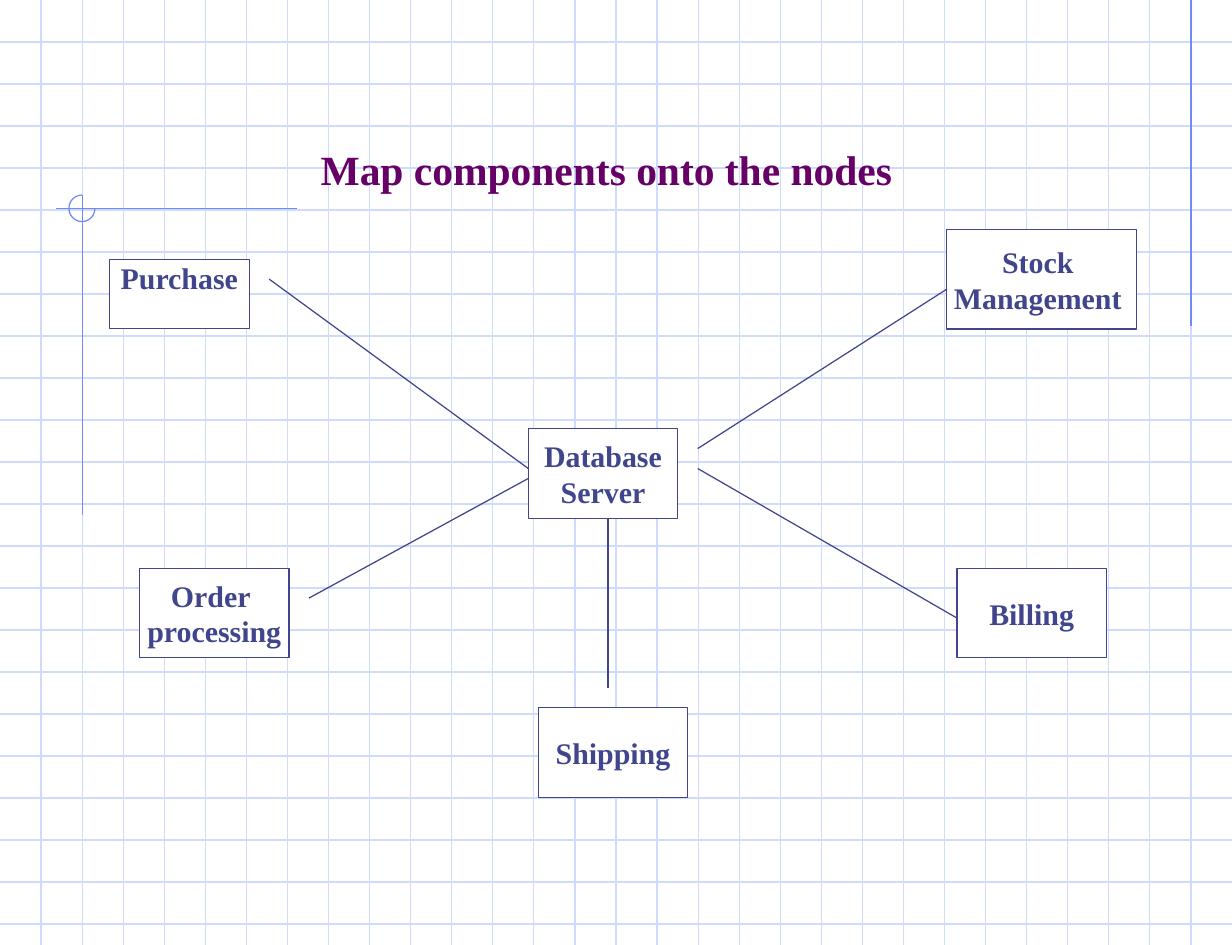
from typing import NamedTuple

from lxml.etree import SubElement
from pptx import Presentation
from pptx.dml.color import RGBColor
from pptx.enum.shapes import MSO_CONNECTOR, MSO_SHAPE
from pptx.enum.text import MSO_ANCHOR, PP_ALIGN
from pptx.oxml.ns import qn
from pptx.slide import Slide
from pptx.text.text import TextFrame
from pptx.util import Pt

WIDTH, HEIGHT = 741.6, 568.8
ROW_STEP, COLUMN_STEP = HEIGHT / 22.5, WIDTH / 30
ROWS, COLUMNS = 22, 29
LINE_WIDTH = 0.75
FONT = "Times New Roman"

WHITE = RGBColor(0xFF, 0xFF, 0xFF)
GRID_BLUE = RGBColor(0xCF, 0xDB, 0xFD)
ACCENT_BLUE = RGBColor(0x6F, 0x89, 0xF7)
NODE_BLUE = RGBColor(0x40, 0x45, 0x8C)
TITLE_PURPLE = RGBColor(0x66, 0x00, 0x66)


class Line(NamedTuple):
    x1: float
    y1: float
    x2: float
    y2: float


class Node(NamedTuple):
    lines: tuple[str, ...]
    left: float
    top: float
    width: float = 90
    height: float = 54
    anchor: MSO_ANCHOR = MSO_ANCHOR.MIDDLE
    inset: float = 3.6


GRID = [Line(0, row * ROW_STEP, WIDTH, row * ROW_STEP) for row in range(1, ROWS + 1)] + [
    Line(column * COLUMN_STEP, 0, column * COLUMN_STEP, HEIGHT)
    for column in range(1, COLUMNS + 1)
]

ACCENTS = [
    Line(716.88, 0, 716.88, 196),
    Line(178.5, 125.4, 33.8, 125.4),
    Line(49.44, 117.4, 49.44, 310.2),
]

NODES = [
    Node(("Purchase",), 66, 156, 84, 42, MSO_ANCHOR.TOP, 0),
    Node(("Order ", "processing"), 84, 342),
    Node(("Database", "Server"), 318, 258),
    Node(("Shipping",), 324, 426),
    Node(("Billing",), 576, 342),
    Node(("Stock ", "Management "), 570, 138, 114, 60),
]

LINKS = [
    Line(162, 168, 318, 282),
    Line(318, 288, 186, 360),
    Line(420, 270, 570, 174),
    Line(420, 282, 576, 372),
    Line(366, 312, 366, 414),
]


def draw_lines(page: Slide, lines: list[Line], color: RGBColor) -> None:
    for line in lines:
        connector = page.shapes.add_connector(
            MSO_CONNECTOR.STRAIGHT, Pt(line.x1), Pt(line.y1), Pt(line.x2), Pt(line.y2)
        )
        connector.line.color.rgb = color
        connector.line.width = Pt(LINE_WIDTH)
        SubElement(connector._element.spPr, qn("a:effectLst"))


def write_text(frame: TextFrame, lines: tuple[str, ...], size: float, color: RGBColor) -> None:
    for index, text in enumerate(lines):
        para = frame.add_paragraph() if index else frame.paragraphs[0]
        para.alignment = PP_ALIGN.CENTER
        span = para.add_run()
        span.text = text
        span.font.name = FONT
        span.font.size = Pt(size)
        span.font.bold = True
        span.font.color.rgb = color


def draw_corner_arc(page: Slide) -> None:
    arc = page.shapes.add_shape(MSO_SHAPE.ARC, Pt(41.5), Pt(117.4), Pt(15.7), Pt(16))
    arc.adjustments[0] = 0
    arc.adjustments[1] = 162
    arc.shadow.inherit = False
    arc.fill.background()
    arc.line.color.rgb = ACCENT_BLUE
    arc.line.width = Pt(LINE_WIDTH)


def draw_title(page: Slide) -> None:
    title = page.shapes.add_textbox(Pt(49.5), Pt(25.2), Pt(631), Pt(95))
    title.text_frame.word_wrap = True
    title.text_frame.vertical_anchor = MSO_ANCHOR.BOTTOM
    write_text(title.text_frame, ("Map components onto the nodes",), 25, TITLE_PURPLE)


def draw_node(page: Slide, node: Node) -> None:
    box = page.shapes.add_shape(
        MSO_SHAPE.RECTANGLE, Pt(node.left), Pt(node.top), Pt(node.width), Pt(node.height)
    )
    box.shadow.inherit = False
    box.fill.solid()
    box.fill.fore_color.rgb = WHITE
    box.line.color.rgb = NODE_BLUE
    box.line.width = Pt(LINE_WIDTH)
    frame = box.text_frame
    frame.word_wrap = False
    frame.vertical_anchor = node.anchor
    frame.margin_top = frame.margin_bottom = Pt(node.inset)
    write_text(frame, node.lines, 18, NODE_BLUE)


def main() -> None:
    deck = Presentation()
    deck.slide_width, deck.slide_height = Pt(WIDTH), Pt(HEIGHT)
    page = deck.slides.add_slide(deck.slide_layouts[6])
    draw_lines(page, GRID, GRID_BLUE)
    draw_lines(page, ACCENTS, ACCENT_BLUE)
    draw_corner_arc(page)
    draw_title(page)
    for node in NODES:
        draw_node(page, node)
    draw_lines(page, LINKS, NODE_BLUE)
    deck.save("out.pptx")


if __name__ == "__main__":
    main()
